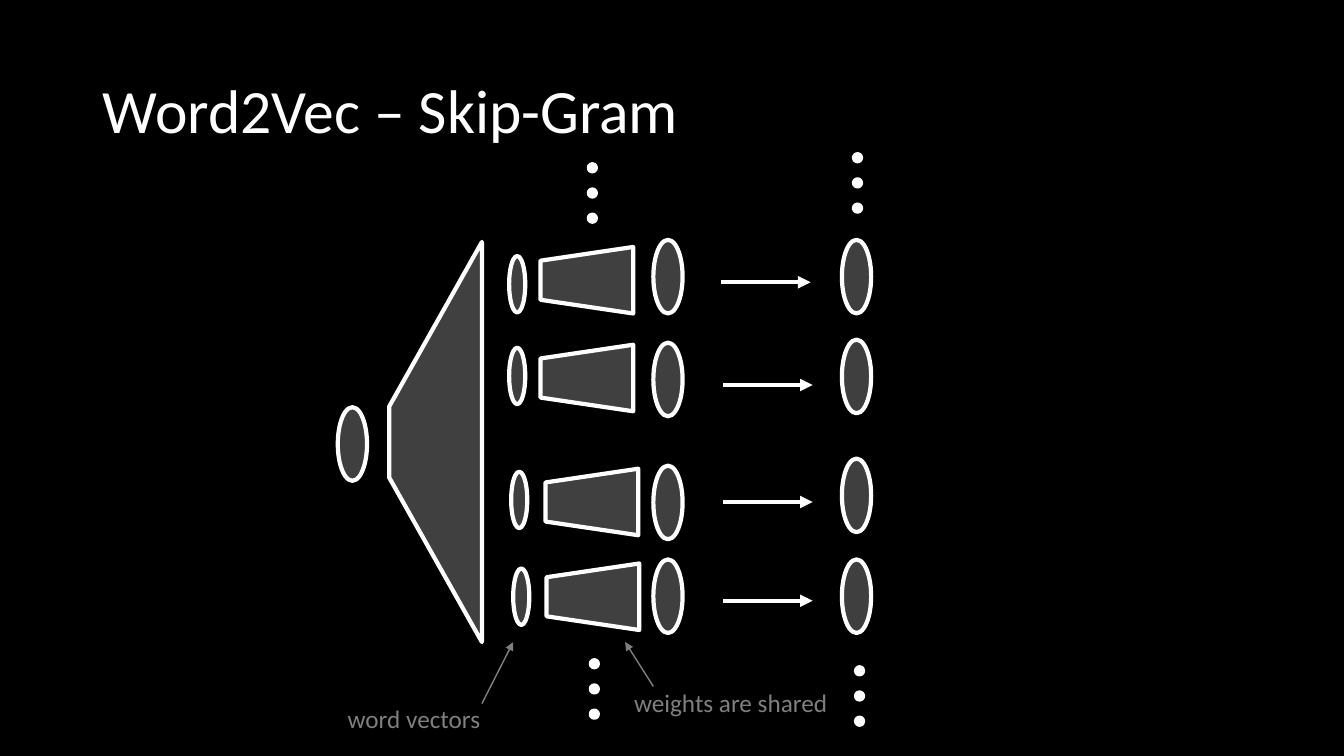
import pptx
import pptx.util
import pptx.dml.color
import pptx.enum.shapes
import pptx.enum.text
import pptx.oxml
import pptx.oxml.ns

Inches = pptx.util.Inches
Pt = pptx.util.Pt
SHAPE = pptx.enum.shapes.MSO_SHAPE

COLORS = {"back": "000000", "white": "FFFFFF", "gray": "7F7F7F", "dark": "404040"}
FONT = "Calibri"

# Each branch: top, vector (dx, dy), decoder (dx, dy), arrow (dx, dy), target dy
BRANCH_LEFT = 5.05
BRANCHES = [
    (2.38, (0, 0.16), (0.31, 0.07), (2.10, 0.42), 0),
    (3.40, (0, 0.05), (0.31, 0.02), (2.12, 0.42), -0.03),
    (4.62, (0.02, 0.06), (0.36, 0.03), (2.12, 0.36), -0.07),
    (5.55, (0.04, 0.09), (0.37, 0.04), (2.12, 0.41), 0),
]
DOT_COLUMNS = [(5.84, 1.63), (5.86, 6.55), (8.47, 1.53), (8.49, 6.62)]


def rgb(name):
    return pptx.dml.color.RGBColor.from_string(COLORS[name])


def style_text(p, size, color):
    p.font.size = Pt(size)
    p.font.name = FONT
    p.font.color.rgb = rgb(color)


def add_shape(slide, kind, x, y, w, h, fill):
    sp = slide.shapes.add_shape(kind, Inches(x), Inches(y), Inches(w), Inches(h))
    sp.shadow.inherit = False
    sp.fill.solid()
    sp.fill.fore_color.rgb = rgb(fill)
    sp.line.color.rgb = rgb("white")
    sp.line.width = Pt(3)
    return sp


def add_layer(slide, x, y, w=0.29, h=0.73):
    """Half-transparent ellipse standing for a vector."""
    sp = add_shape(slide, SHAPE.OVAL, x, y, w, h, "gray")
    color = sp.fill._xPr.find(".//" + pptx.oxml.ns.qn("a:srgbClr"))
    color.append(pptx.oxml.parse_xml(
        f'<a:alpha {pptx.oxml.ns.nsdecls("a")} val="50000"/>'))


def add_funnel(slide, x, y, w, h, inset):
    """Trapezoid with its narrow side on the left, filling the given box."""
    cx, cy = x + w / 2, y + h / 2
    sp = add_shape(slide, SHAPE.TRAPEZOID, cx - h / 2, cy - w / 2, h, w, "dark")
    sp.adjustments[0] = inset
    sp.rotation = 270


def add_arrow(slide, x1, y1, x2, y2, color, width):
    line = slide.shapes.add_connector(
        pptx.enum.shapes.MSO_CONNECTOR.STRAIGHT,
        Inches(x1), Inches(y1), Inches(x2), Inches(y2))
    line.line.color.rgb = rgb(color)
    line.line.width = Pt(width)
    ns = pptx.oxml.ns.nsdecls("a")
    line.line._get_or_add_ln().append(
        pptx.oxml.parse_xml(f'<a:tailEnd {ns} type="triangle"/>'))
    line._element.spPr.append(pptx.oxml.parse_xml(f"<a:effectLst {ns}/>"))


def add_title(slide, x, y, w, h):
    sp = slide.shapes.title
    sp.left, sp.top, sp.width, sp.height = map(Inches, (x, y, w, h))
    tf = sp.text_frame
    tf.text = "Word2Vec – Skip-Gram"
    tf.auto_size = pptx.enum.text.MSO_AUTO_SIZE.NONE
    tf.vertical_anchor = pptx.enum.text.MSO_ANCHOR.MIDDLE
    p = tf.paragraphs[0]
    p.alignment = pptx.enum.text.PP_ALIGN.LEFT
    p.line_spacing = 0.9
    style_text(p, 44, "white")


def add_encoder(slide, x, y):
    add_layer(slide, x, y + 1.64)
    add_funnel(slide, x + 0.51, y, 0.92, 3.97, 1.775)


def add_branch(slide, x, y, vector, decoder, arrow, target_dy):
    add_layer(slide, x + vector[0], y + vector[1], 0.16, 0.56)
    add_funnel(slide, x + decoder[0], y + decoder[1], 0.92, 0.66, 0.206)
    add_layer(slide, x + 1.43, y)
    ax, ay = x + arrow[0], y + arrow[1]
    add_arrow(slide, ax, ay, ax + 0.89, ay, "white", 3)
    add_layer(slide, x + 3.3, y + target_dy)


def add_dots(slide, x, y):
    for i in range(3):
        add_shape(slide, SHAPE.OVAL, x, y + i * 0.25, 0.07, 0.07, "white")


def add_note(slide, x, y, w, text, start, end):
    """Gray label with an arrow; start and end are relative to the label."""
    sp = slide.shapes.add_textbox(Inches(x), Inches(y), Inches(w), Inches(0.4))
    tf = sp.text_frame
    tf.word_wrap = True
    tf.text = text
    style_text(tf.paragraphs[0], 18, "gray")
    add_arrow(slide, x + start[0], y + start[1], x + end[0], y + end[1], "gray", 1)


def main():
    prs = pptx.Presentation()
    prs.slide_width, prs.slide_height = Inches(13.33), Inches(7.5)
    slide = prs.slides.add_slide(prs.slide_layouts[5])
    slide.background.fill.solid()
    slide.background.fill.fore_color.rgb = rgb("back")

    add_title(slide, 0.92, 0.4, 11.5, 1.45)
    # Network, left to right
    add_encoder(slide, 3.35, 2.4)
    for top, *parts in BRANCHES:
        add_branch(slide, BRANCH_LEFT, top, *parts)
    for x, y in DOT_COLUMNS:
        add_dots(slide, x, y)
    # Notes below the network
    add_note(slide, 3.35, 6.93, 1.69, "word vectors", (1.43, 0.05), (1.74, -0.56))
    add_note(slide, 6.19, 6.77, 2.69, "weights are shared", (0.29, 0.04), (0.01, -0.4))
    prs.save("out.pptx")


if __name__ == "__main__":
    main()
